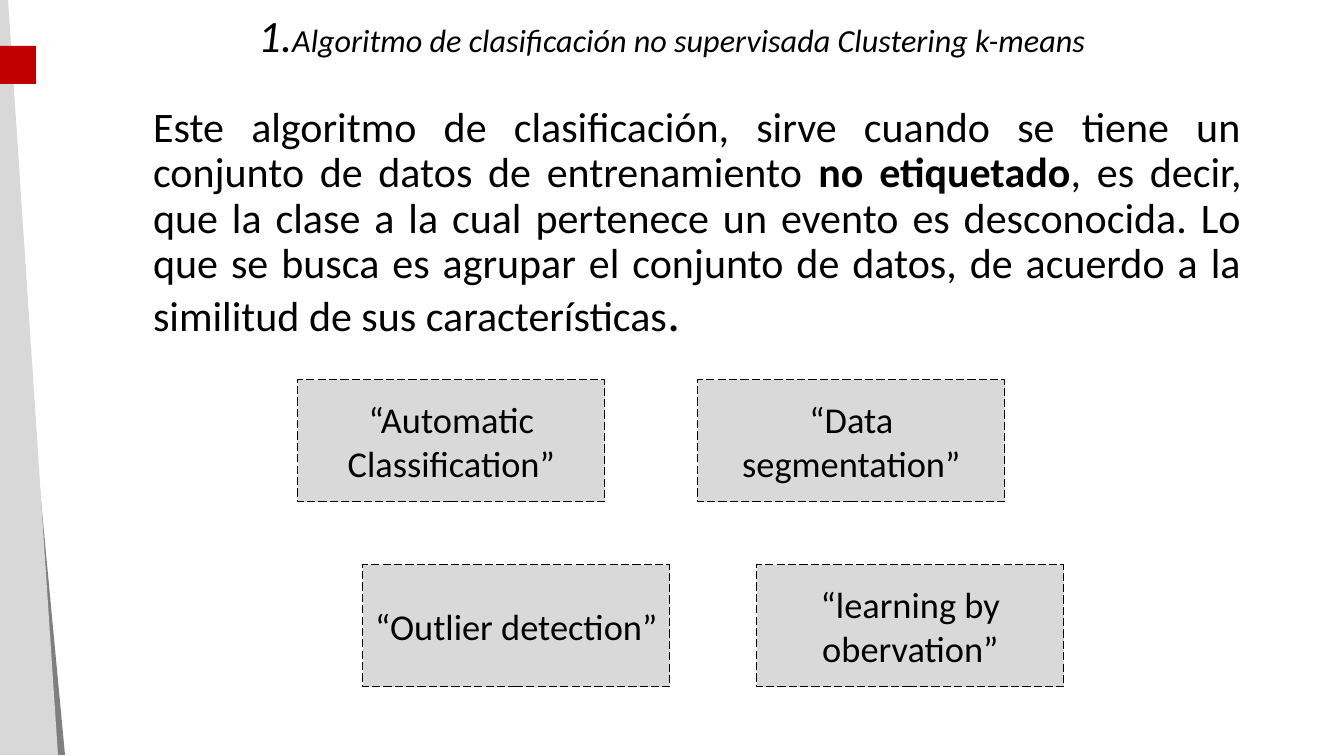
import pptx
import pptx.util
import pptx.dml.color
import pptx.enum.dml
import pptx.enum.shapes
import pptx.enum.text
import pptx.oxml.ns
import lxml.etree

PX = 914400 / 100.8
FONT = "Calibri"
COLORS = {"text": "000000", "box": "D9D9D9", "band": "D8D8D8", "shade": "7F7F7F", "tab": "C00000"}

TITLE = [("1.", 32, False), ("Algoritmo de clasificación no supervisada Clustering k-means", 23, False)]
BODY = [
    ("Este algoritmo de clasificación, sirve cuando se tiene un conjunto de datos de entrenamiento ", 30, False),
    ("no etiquetado", 30, True),
    (", es decir, que la clase a la cual pertenece un evento es desconocida. Lo que se busca es agrupar "
     "el conjunto de datos, de acuerdo a la similitud de sus características", 30, False),
    (".", 36, False),
]
TITLE_BOX = (93, -2, 1159, 79)
BODY_BOX = (93, 101, 1159, 298)
BODY_INDENT = 50
OUTLINES = [
    ("shade", [(-11, -1), (-6, 1), (65, 755), (-11, 755)]),
    ("band", [(-17, -1), (8, -1), (58, 755), (-17, 755)]),
]
TAB = (-33, 46, 69, 38)
BOX_SIZE = (307, 122)
BOXES = [
    ("“Automatic Classification”", 298, 380),
    ("“Data segmentation”", 698, 380),
    ("“Outlier detection”", 363, 565),
    ("“learning by obervation”", 757, 565),
]


def px(n):
    return pptx.util.Emu(round(n * PX))


def color(name):
    return pptx.dml.color.RGBColor.from_string(COLORS[name])


def paint(sp, name):
    sp.shadow.inherit = False
    sp.fill.solid()
    sp.fill.fore_color.rgb = color(name)
    sp.line.fill.background()


def add_rect(box, name):
    sp = s.shapes.add_shape(pptx.enum.shapes.MSO_SHAPE.RECTANGLE, *map(px, box))
    paint(sp, name)
    return sp


def set_font(p):
    p.font.name = FONT
    p.font.color.rgb = color("text")


def fill_placeholder(sp, box, runs, align):
    sp.left, sp.top, sp.width, sp.height = map(px, box)
    tf = sp.text_frame
    tf.word_wrap = True
    tf.auto_size = pptx.enum.text.MSO_AUTO_SIZE.NONE
    p = tf.paragraphs[0]
    p.alignment = align
    p.line_spacing = 0.9
    p.space_before = pptx.util.Pt(0)
    set_font(p)
    for text, size, bold in runs:
        r = p.add_run()
        r.text = text
        r.font.size = pptx.util.Pt(size)
        r.font.bold = bold
    return p


prs = pptx.Presentation()
prs.slide_width, prs.slide_height = px(1344), px(756)
s = prs.slides.add_slide(prs.slide_layouts[1])
ALIGN = pptx.enum.text.PP_ALIGN
MIDDLE = pptx.enum.text.MSO_ANCHOR.MIDDLE

title = s.shapes.title
p = fill_placeholder(title, TITLE_BOX, TITLE, ALIGN.CENTER)
p.font.italic = True
title.text_frame.vertical_anchor = MIDDLE

p = fill_placeholder(s.placeholders[1], BODY_BOX, BODY, ALIGN.JUSTIFY)
pPr = p._p.get_or_add_pPr()
pPr.set("marL", str(px(BODY_INDENT)))
pPr.set("indent", "0")
bullet = lxml.etree.Element(pptx.oxml.ns.qn("a:buNone"))
pPr.find(pptx.oxml.ns.qn("a:defRPr")).addprevious(bullet)

for name, points in OUTLINES:
    outline = s.shapes.build_freeform(*points[0], scale=PX)
    outline.add_line_segments(points[1:], close=True)
    paint(outline.convert_to_shape(), name)

add_rect(TAB, "tab")

for text, x, y in BOXES:
    sp = add_rect((x, y, *BOX_SIZE), "box")
    sp.line.color.rgb = color("text")
    sp.line.width = pptx.util.Pt(0.75)
    sp.line.dash_style = pptx.enum.dml.MSO_LINE.LONG_DASH
    tf = sp.text_frame
    tf.word_wrap = True
    tf.vertical_anchor = MIDDLE
    tf.margin_left = tf.margin_right = tf.margin_top = tf.margin_bottom = px(10)
    p = tf.paragraphs[0]
    p.text = text
    p.alignment = ALIGN.CENTER
    p.font.size = pptx.util.Pt(26)
    set_font(p)

prs.save("out.pptx")
